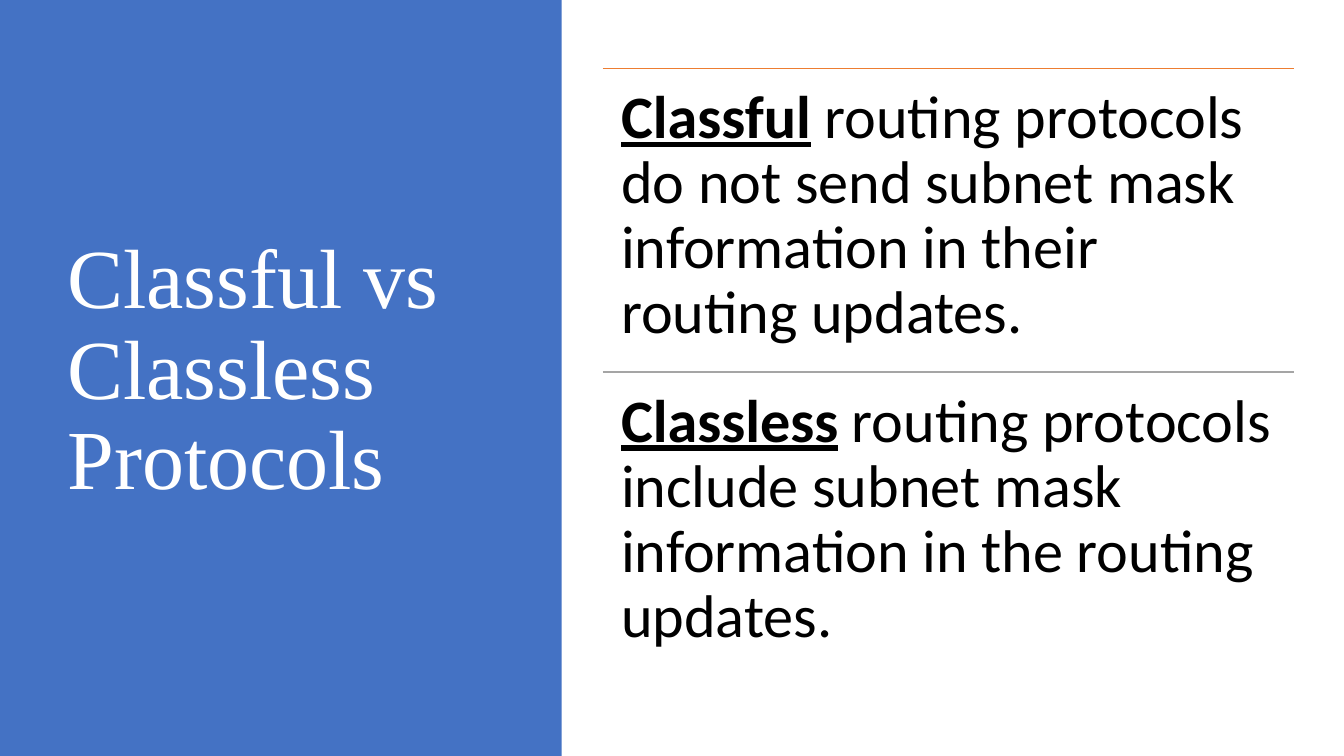
from lxml import etree
from pptx import Presentation
from pptx.dml.color import RGBColor
from pptx.enum.shapes import MSO_CONNECTOR, MSO_SHAPE
from pptx.enum.text import MSO_ANCHOR
from pptx.oxml.ns import qn
from pptx.util import Inches, Pt

RECTANGLE = MSO_SHAPE.RECTANGLE
STRAIGHT = MSO_CONNECTOR.STRAIGHT
TOP = MSO_ANCHOR.TOP
MIDDLE = MSO_ANCHOR.MIDDLE

COLORS = {
    "panel": "4472C4",
    "title": "FFFFFF",
    "body": "000000",
    "orange": "ED7D31",
    "gray": "A5A5A5",
}

RULES = [
    ("orange", "Classful",
     " routing protocols do not send subnet mask information in their routing updates."),
    ("gray", "Classless",
     " routing protocols include subnet mask information in the routing updates."),
]


class SlideBuilder:
    title_font = "Times New Roman"
    body_font = "Calibri"
    line_spacing = 0.9

    def __init__(self, page):
        self.page = page

    def color(self, name):
        return RGBColor.from_string(COLORS[name])

    def panel(self, left, top, width, height, color):
        box = self.page.shapes.add_shape(
            RECTANGLE, Inches(left), Inches(top), Inches(width), Inches(height))
        box.shadow.inherit = False
        box.fill.solid()
        box.fill.fore_color.rgb = self.color(color)
        box.line.fill.background()

    def rule(self, left, top, width, color):
        line = self.page.shapes.add_connector(
            STRAIGHT, Inches(left), Inches(top), Inches(left + width), Inches(top))
        line.line.color.rgb = self.color(color)
        line.line.width = Pt(1)
        etree.SubElement(line._element.spPr, qn("a:effectLst"))

    def text(self, left, top, width, height, anchor=TOP, inset=None):
        box = self.page.shapes.add_textbox(
            Inches(left), Inches(top), Inches(width), Inches(height))
        frame = box.text_frame
        frame.word_wrap = True
        frame.vertical_anchor = anchor
        if inset is not None:
            frame.margin_left = frame.margin_right = Inches(inset)
            frame.margin_top = frame.margin_bottom = Inches(inset)
        para = frame.paragraphs[0]
        para.line_spacing = self.line_spacing
        return para

    def format(self, span, font, size, color):
        span.font.name = font
        span.font.size = Pt(size)
        span.font.color.rgb = self.color(color)

    def title(self, left, top, width, height, words):
        para = self.text(left, top, width, height, MIDDLE)
        para.text = words
        self.format(para.runs[0], self.title_font, 60, "title")

    def statement(self, left, top, width, height, term, words):
        para = self.text(left, top, width, height, inset=0.18)
        para.text = term
        para.add_run().text = words
        for span in para.runs:
            self.format(span, self.body_font, 43, "body")
        para.runs[0].font.bold = True
        para.runs[0].font.underline = True


def main():
    deck = Presentation()
    deck.slide_width = Inches(13.33)
    deck.slide_height = Inches(7.5)
    builder = SlideBuilder(deck.slides.add_slide(deck.slide_layouts[6]))

    builder.panel(0, 0, 5.57, 7.5, "panel")
    builder.title(0.57, 0.68, 4.16, 6.02, "Classful vs Classless Protocols")

    left, first_top, width, height = 5.98, 0.68, 6.85, 3.01
    for index, (color, term, words) in enumerate(RULES):
        top = first_top + index * height
        builder.rule(left, top, width, color)
        builder.statement(left, top, width, height, term, words)

    deck.save("out.pptx")


if __name__ == "__main__":
    main()
